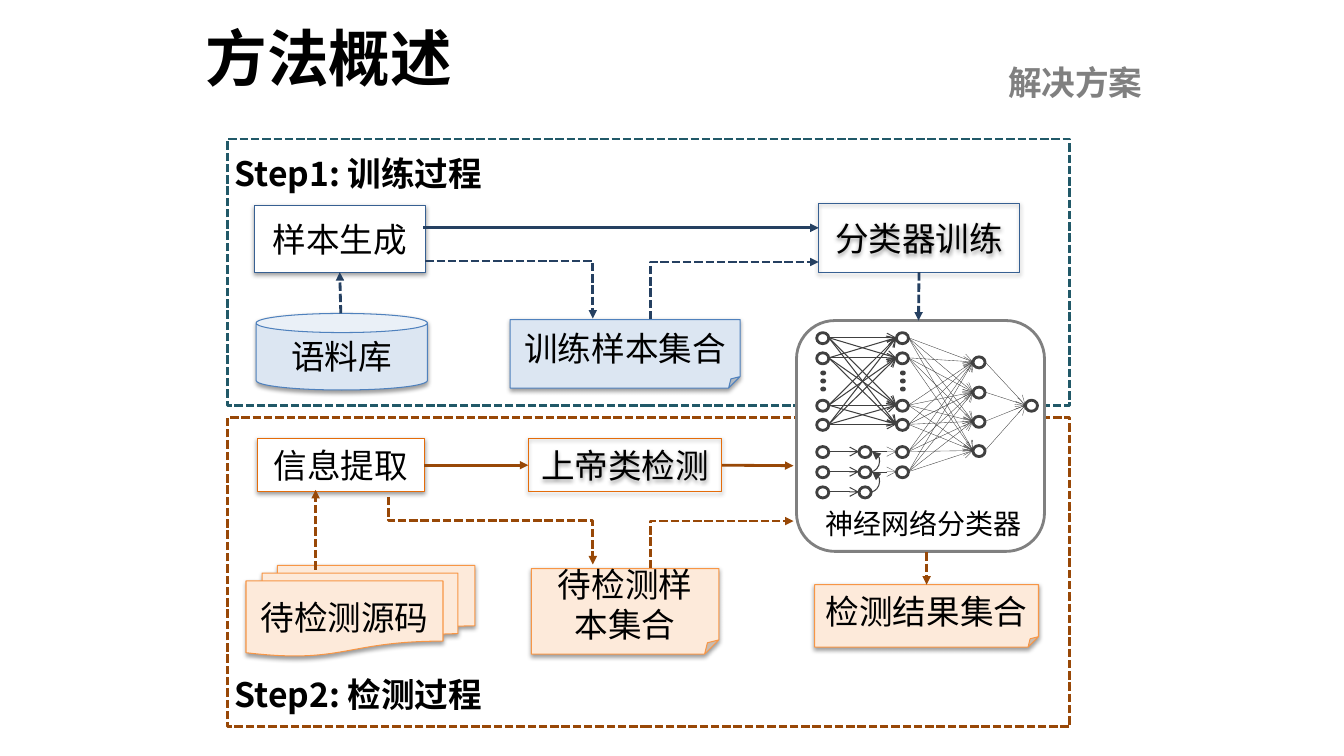
from itertools import product

from lxml.etree import SubElement
from pptx import Presentation
from pptx.dml.color import RGBColor
from pptx.enum.dml import MSO_LINE
from pptx.enum.shapes import MSO_CONNECTOR as LINK, MSO_SHAPE as SHAPE
from pptx.enum.text import MSO_ANCHOR as ANCHOR, MSO_AUTO_SIZE as FIT, PP_ALIGN as ALIGN
from pptx.oxml.ns import qn
from pptx.util import Emu, Pt

EMU_PER_PX = 9144  # 100 px to the inch
FONT = "Noto Sans CJK SC"
COLORS = {
    "text": "000000", "white": "FFFFFF", "gray": "808080", "net": "404040",
    "train_frame": "215968", "train_arrow": "254061", "train_box": "376092",
    "train_data": "4F81BD", "train_fill": "DCE6F2",
    "detect": "984807", "detect_box": "E46C0A",
    "detect_data": "F79646", "detect_fill": "FDEADA",
}


def px(*lengths):
    return [Emu(length * EMU_PER_PX) for length in lengths]


def rgb(name):
    return RGBColor.from_string(COLORS[name])


def write(frame, text, size=24, bold=False, color="text", align=ALIGN.LEFT):
    frame.text = text
    paragraph = frame.paragraphs[0]
    paragraph.alignment = align
    for run in paragraph.runs:
        run.font.size = Pt(size)
        run.font.bold = bold
        run.font.name = FONT
        run.font.color.rgb = rgb(color)
        SubElement(run.font._element, qn("a:ea"), typeface=FONT)


def style_line(line, color, width, dashed=False):
    line.color.rgb = rgb(color)
    line.width = Pt(width)
    if dashed:
        line.dash_style = MSO_LINE.SQUARE_DOT


def add_label(slide, box, text, size=24, bold=True, color="text", wrap=True):
    label = slide.shapes.add_textbox(*px(*box))
    label.text_frame.word_wrap = wrap
    write(label.text_frame, text, size, bold, color)


def add_outline(slide, kind, box, color, width=2, fill=None, dashed=False):
    outline = slide.shapes.add_shape(kind, *px(*box))
    outline.shadow.inherit = False
    if fill:
        outline.fill.solid()
        outline.fill.fore_color.rgb = rgb(fill)
    else:
        outline.fill.background()
    style_line(outline.line, color, width, dashed)
    return outline


def add_step(slide, kind, box, text, color, fill=None):
    """A captioned box with a soft shadow below it."""
    step = add_outline(slide, kind, box, color, 0.75, fill)
    effects = step.element.spPr.find(qn("a:effectLst"))
    shadow = SubElement(effects, qn("a:outerShdw"), blurRad="40000", dist="20000",
                        dir="5400000", rotWithShape="0")
    shade = SubElement(shadow, qn("a:srgbClr"), val=COLORS["text"])
    SubElement(shade, qn("a:alpha"), val="38000")
    step.text_frame.word_wrap = True
    step.text_frame.vertical_anchor = ANCHOR.MIDDLE
    write(step.text_frame, text, align=ALIGN.CENTER)
    return step


def add_arrow(slide, start, end, color, width=2, dashed=False, head="triangle",
              kind=LINK.STRAIGHT, bend=None, quarter_turns=0):
    """bend is the place of the turn, in thousandths of the width."""
    arrow = slide.shapes.add_connector(kind, *px(*start, *end))
    style_line(arrow.line, color, width, dashed)
    props = arrow.element.spPr
    SubElement(props.find(qn("a:ln")), qn("a:tailEnd"), type=head)
    SubElement(props, qn("a:effectLst"))
    if bend is not None:
        guides = props.find(qn("a:prstGeom")).find(qn("a:avLst"))
        SubElement(guides, qn("a:gd"), name="adj1", fmla=f"val {bend * 100}")
    if quarter_turns:
        props.find(qn("a:xfrm")).set("rot", str(quarter_turns * 5400000))
    return arrow


def add_network(slide):
    node_w, node_h = 12, 11
    input_x, middle_x, merge_x, hidden_x, output_x = 810, 852, 889, 965, 1017
    dense_ys, chain_ys = [335, 355, 402, 421], [448, 468, 488]
    merge_ys = dense_ys + chain_ys[:2]
    hidden_ys, output_ys = [359, 389, 418, 447], [402]

    def link(from_x, to_x, pairs, width):
        for from_y, to_y in pairs:
            add_arrow(slide, (from_x + node_w, from_y), (to_x, to_y), "net", width, head="arrow")

    # Layer links
    link(input_x, merge_x, product(dense_ys, dense_ys), 0.75)
    link(input_x, middle_x, zip(chain_ys, chain_ys), 0.75)
    link(middle_x, merge_x, zip(chain_ys[:2], chain_ys), 0.25)
    link(merge_x, hidden_x, product(merge_ys, hidden_ys), 0.25)
    link(hidden_x, output_x, product(hidden_ys, output_ys), 0.25)

    # Recurrent links
    for upper_y, lower_y in zip(chain_ys, chain_ys[1:]):
        add_arrow(slide, (864, lower_y), (865, upper_y), "net", 0.75,
                  kind=LINK.CURVE, bend=8449)

    # Nodes and the dots between them
    layers = [(input_x, dense_ys + chain_ys), (middle_x, chain_ys), (merge_x, merge_ys),
              (hidden_x, hidden_ys), (output_x, output_ys)]
    for x, ys in layers:
        for y in ys:
            add_outline(slide, SHAPE.OVAL, (x, y - 5, node_w, node_h), "net")
    for x, y in product((input_x, merge_x), (369, 377, 385)):
        add_outline(slide, SHAPE.OVAL, (x + 5, y, 3, 2), "net")


def add_training(slide):
    sample = add_step(slide, SHAPE.RECTANGLE, (252, 204, 170, 66), "样本生成", "train_box", "white")
    trainer = add_step(slide, SHAPE.RECTANGLE, (812, 202, 199, 68), "分类器训练", "train_box")
    add_step(slide, SHAPE.CAN, (254, 311, 170, 76), "语料库", "train_data", "train_fill")
    add_step(slide, SHAPE.FOLDED_CORNER, (506, 317, 228, 68), "训练样本集合",
             "train_data", "train_fill")

    color = "train_arrow"
    add_arrow(slide, (420, 226), (812, 226), color)
    add_arrow(slide, (338, 311), (337, 270), color, dashed=True).end_connect(sample, 2)
    add_arrow(slide, (911, 270), (911, 318), color, dashed=True).begin_connect(trainer, 2)
    add_arrow(slide, (422, 259), (588, 316), color, dashed=True, kind=LINK.ELBOW, bend=1000)
    add_arrow(slide, (645, 317), (812, 260), color, dashed=True, kind=LINK.ELBOW, bend=0)


def add_detection(slide):
    extract = add_step(slide, SHAPE.RECTANGLE, (255, 435, 166, 53), "信息提取",
                       "detect_box", "white")
    god_class = add_step(slide, SHAPE.RECTANGLE, (524, 435, 192, 53), "上帝类检测", "detect_box")
    data = [
        (SHAPE.FLOWCHART_MULTIDOCUMENT, (244, 561, 227, 90), "待检测源码"),
        (SHAPE.FOLDED_CORNER, (527, 564, 186, 85), "待检测样本集合"),
        (SHAPE.FOLDED_CORNER, (808, 580, 222, 62), "检测结果集合"),
    ]
    _, _, result = [add_step(slide, *item, "detect_data", "detect_fill") for item in data]

    color = "detect"
    to_god_class = add_arrow(slide, (421, 462), (524, 462), color)
    to_god_class.begin_connect(extract, 3)
    to_god_class.end_connect(god_class, 1)
    add_arrow(slide, (716, 462), (787, 462), color).begin_connect(god_class, 3)
    add_arrow(slide, (919, 548), (919, 580), color, dashed=True).end_connect(result, 0)
    add_arrow(slide, (313, 565), (313, 486), color, dashed=True)
    add_arrow(slide, (645, 564), (787, 517), color, dashed=True, kind=LINK.ELBOW, bend=0)
    # Turned to leave the box downwards: 203 px across, 67 px down
    add_arrow(slide, (520, 425), (453, 628), color, dashed=True, kind=LINK.ELBOW,
              bend=356, quarter_turns=3)


def main():
    deck = Presentation()
    deck.slide_width, deck.slide_height = px(1333, 750)
    slide = deck.slides.add_slide(deck.slide_layouts[5])

    # Headings
    title = slide.shapes.title
    title.left, title.top, title.width, title.height = px(194, 15, 311, 83)
    title.text_frame.auto_size = FIT.NONE
    title.text_frame.vertical_anchor = ANCHOR.MIDDLE
    write(title.text_frame, "方法概述", 44, True)
    add_label(slide, (990, 57, 307, 50), "解决方案", color="gray")

    # Frames of the two steps
    add_outline(slide, SHAPE.RECTANGLE, (226, 414, 835, 307), "detect", dashed=True)
    add_outline(slide, SHAPE.RECTANGLE, (226, 138, 835, 264), "train_frame", dashed=True)
    add_label(slide, (223, 147, 334, 50), "Step1: 训练过程")
    add_label(slide, (223, 664, 334, 50), "Step2: 检测过程")

    # Neural network classifier, shared by both steps
    add_outline(slide, SHAPE.FLOWCHART_ALTERNATE_PROCESS, (790, 318, 246, 229), "gray",
                fill="white")
    add_network(slide)
    add_label(slide, (809, 498, 218, 50), "神经网络分类器", 20, bold=False, wrap=False)

    add_training(slide)
    add_detection(slide)
    deck.save("out.pptx")


if __name__ == "__main__":
    main()
